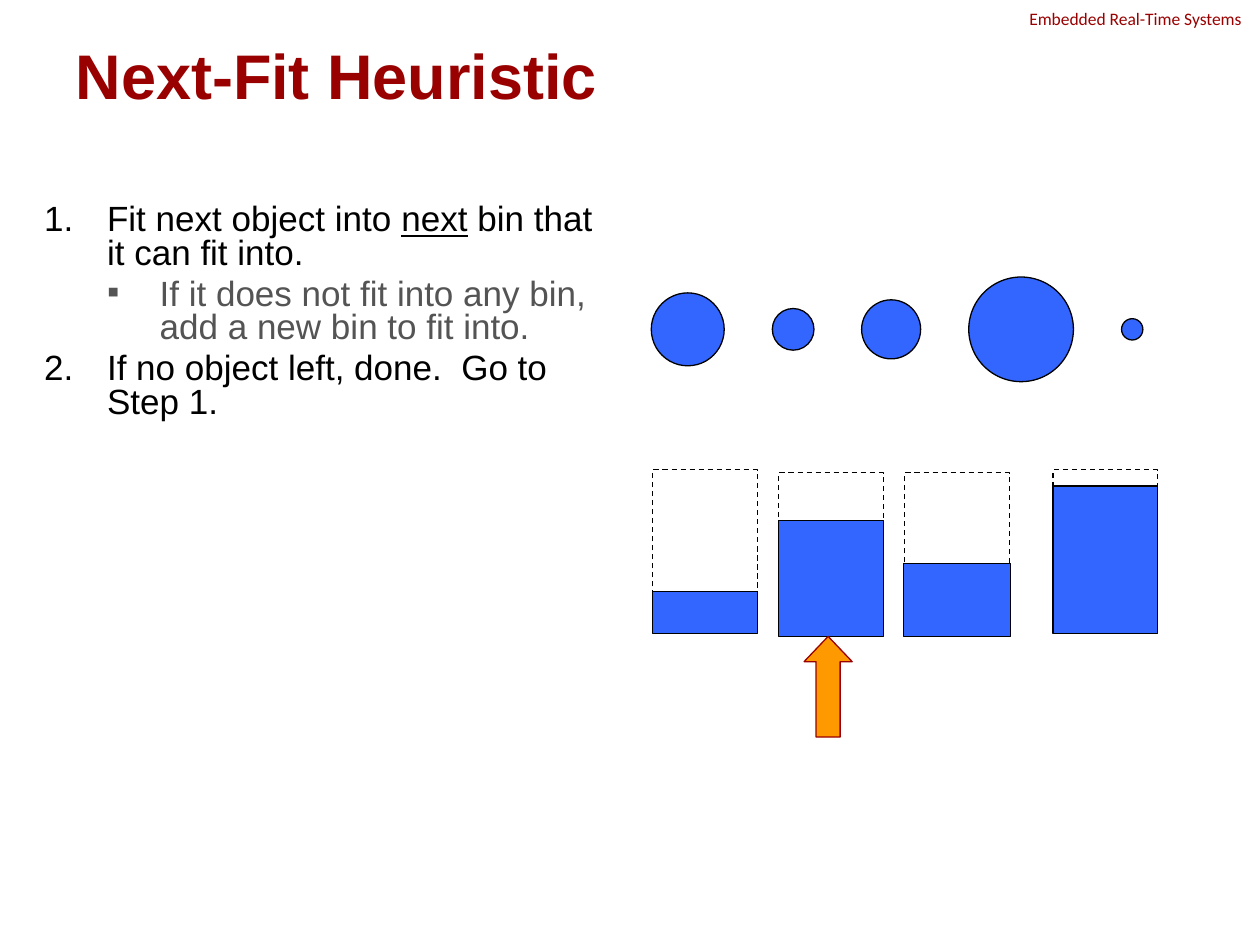
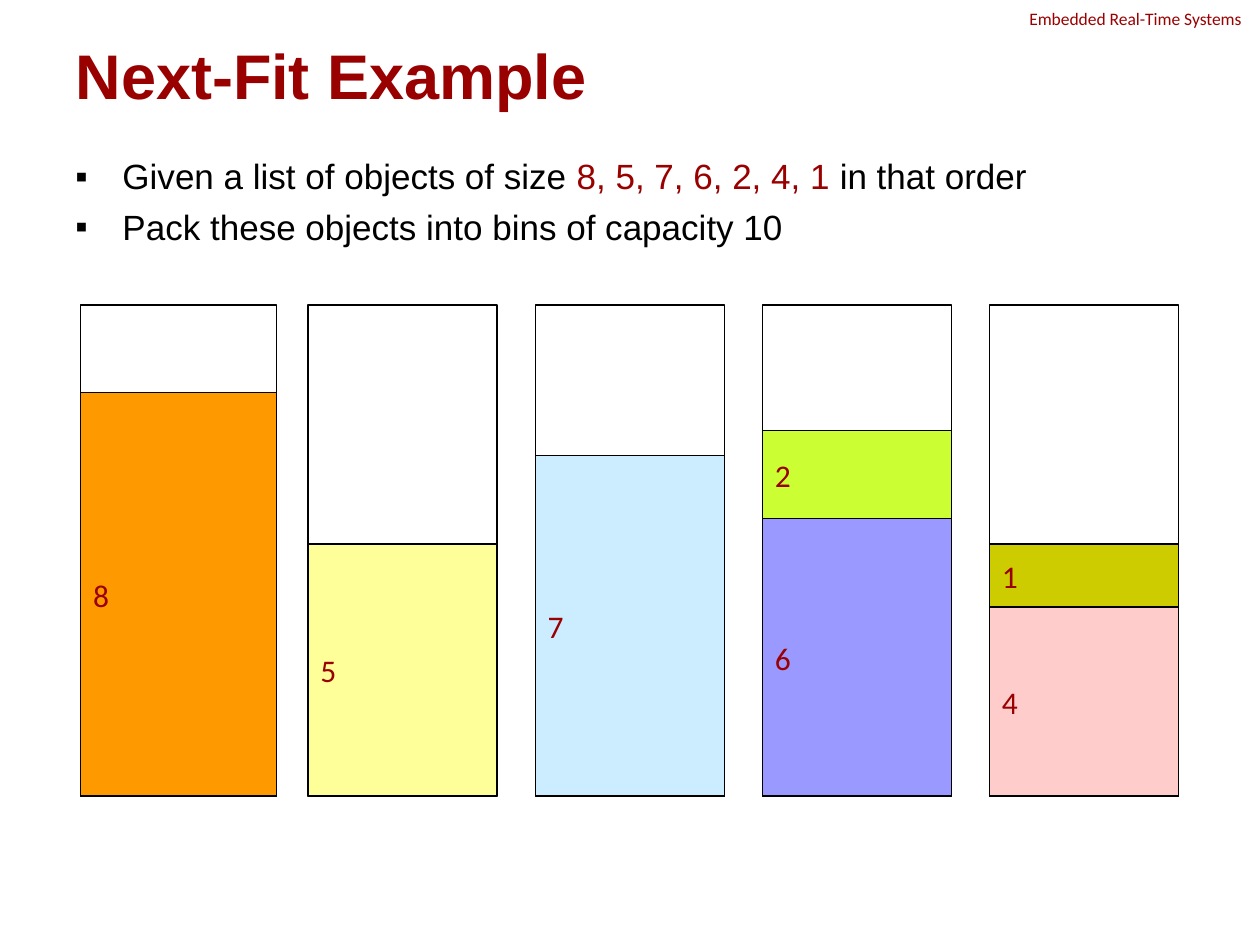
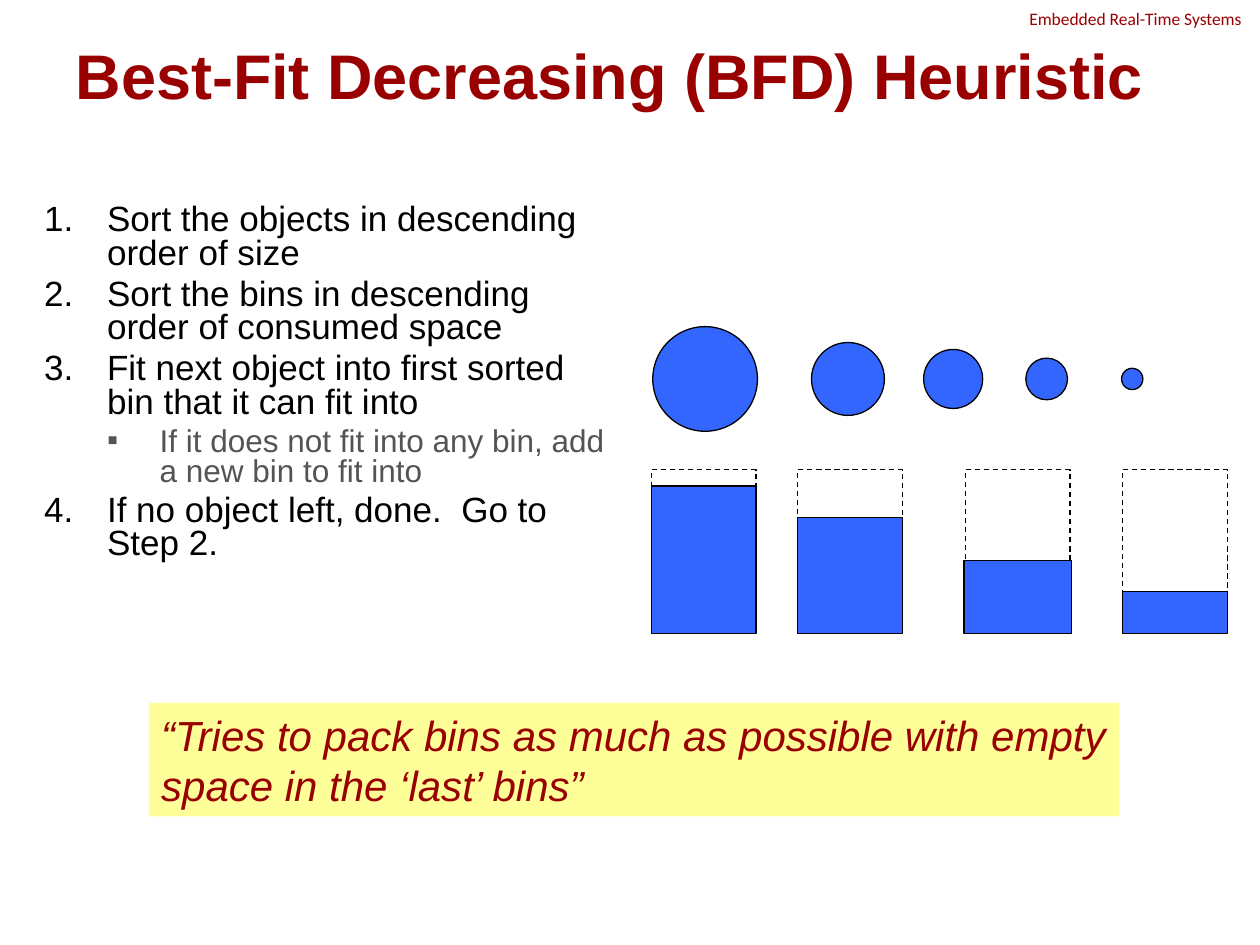
"""Build three slides on bin-packing heuristics."""
import pptx
import pptx.dml.color
import pptx.enum.dml
import pptx.enum.shapes
import pptx.enum.text
import pptx.util
from lxml import etree

Cm = pptx.util.Cm
Pt = pptx.util.Pt
KIND = pptx.enum.shapes.MSO_SHAPE
ANCHOR = pptx.enum.text.MSO_ANCHOR
LEFT = pptx.enum.text.PP_ALIGN.LEFT

RED, BLACK, GREY, BLUE = "990000", "000000", "545454", "3366FF"
ORANGE, CREAM = "FF9900", "FFFF99"

HEAD = {"name": "Calibri", "size": Pt(10), "color": RED}
TITLE = {"name": "Arial", "size": Pt(36), "bold": True, "color": RED}
BODY = {"name": "Arial", "size": Pt(20), "color": BLACK}
SUB = {**BODY, "color": GREY}
SMALL = {**SUB, "size": Pt(18)}
LABEL = {"name": "Calibri", "size": Pt(18), "color": RED}
QUOTE = {"name": "Arial", "size": Pt(24), "italic": True, "color": RED}

# kind: level, left margin, hanging indent, bullet tag, bullet attributes
SQUARE = ("buChar", {"char": "▪"})
MARKS = {
    "step": (0, 1.27, 1.27, "buAutoNum", {"type": "arabicPeriod"}),
    "sub": (1, 2.33, 1.06, *SQUARE),
    "item": (0, 0.95, 0.95, *SQUARE),
}

NEXT = {
    "title": "Next-Fit Heuristic",
    "steps": [
        ("step", [("Fit next object into ", BODY), ("next", {**BODY, "underline": True}),
                  (" bin that it can fit into.", BODY)]),
        ("sub", [("If it does not fit into any bin, add a new bin to fit into.", SUB)]),
        ("step", [("If no object left, done.  Go to Step 1.", BODY)]),
    ],
    "mid": 6.64,
    "balls": [(13.13, 1.47), (15.57, 0.84), (17.37, 1.19), (19.53, 2.11), (22.61, 0.43)],
    "bins": [(13.16, 9.47, 0.84, 2.11), (15.7, 9.53, 2.34, 2.11),
             (18.24, 9.53, 1.47, 2.16), (21.23, 9.47, 2.97, 2.11)],
}
BEST = {
    "title": "Best-Fit Decreasing (BFD) Heuristic",
    "steps": [
        ("step", [("Sort the objects in descending order of size", BODY)]),
        ("step", [("Sort the bins in descending order of consumed space", BODY)]),
        ("step", [("Fit next object into first sorted bin that it can fit into", BODY)]),
        ("sub", [("If it does not fit into any bin, add a new bin to fit into", SMALL)]),
        ("step", [("If no object left, done.  Go to Step 2.", BODY)]),
    ],
    "mid": 7.64,
    "balls": [(13.16, 2.11), (16.36, 1.47), (18.62, 1.19), (20.68, 0.84), (22.61, 0.43)],
    "bins": [(13.13, 9.47, 2.97, 2.11), (16.08, 9.47, 2.34, 2.11),
             (19.46, 9.47, 1.47, 2.16), (22.63, 9.47, 0.84, 2.11)],
}
SAYING = "“Tries to pack bins as much as possible with empty space in the ‘last’ bins”"

ITEMS = [
    ("item", [("Given a list of objects of size ", BODY),
              ("8, 5, 7, 6, 2, 4, 1", {**BODY, "color": RED}), (" in that order", BODY)]),
    ("item", [("Pack these objects into bins of capacity 10", BODY)]),
]
# each bin from the bottom up: label, height, fill
PACKED = [
    [("8", 8.13, ORANGE)],
    [("5", 5.08, CREAM)],
    [("7", 6.86, "CCECFF")],
    [("6", 5.59, "9999FF"), ("2", 1.78, "CCFF33")],
    [("4", 3.81, "FFCCCC"), ("1", 1.27, "CCCC00")],
]


def rgb(code):
    return pptx.dml.color.RGBColor.from_string(code)


def write(para, text, form):
    run = para.add_run()
    run.text = text
    for key, val in form.items():
        if key == "color":
            run.font.color.rgb = rgb(val)
        else:
            setattr(run.font, key, val)


def draw(slide, kind, box, fill=None, line=BLACK, dash=False):
    shape = slide.shapes.add_shape(kind, *map(Cm, box))
    shape.shadow.inherit = False
    if fill:
        shape.fill.solid()
        shape.fill.fore_color.rgb = rgb(fill)
    else:
        shape.fill.background()
    if line:
        shape.line.color.rgb = rgb(line)
        shape.line.width = Pt(0.75)
    else:
        shape.line.fill.background()
    if dash:
        shape.line.dash_style = pptx.enum.dml.MSO_LINE.DASH
    return shape


def label(shape, text, form, anchor=ANCHOR.MIDDLE):
    frame = shape.text_frame
    frame.word_wrap = True
    frame.vertical_anchor = anchor
    para = frame.paragraphs[0]
    para.alignment = LEFT
    write(para, text, form)
    return frame


def mark(para, kind):
    level, left, hang, tag, attrs = MARKS[kind]
    para.level = level
    props = para._p.get_or_add_pPr()
    props.set("marL", str(Cm(left)))
    props.set("indent", str(-Cm(hang)))
    space = pptx.oxml.ns.qn("a:buFont")
    etree.SubElement(props, space, typeface="Arial")
    etree.SubElement(props, pptx.oxml.ns.qn("a:" + tag), attrs)


def prose(slide, box, rows, gap, pitch=None):
    frame = slide.shapes.add_textbox(*map(Cm, box)).text_frame
    frame.word_wrap = True
    for num, (kind, runs) in enumerate(rows):
        para = frame.add_paragraph() if num else frame.paragraphs[0]
        mark(para, kind)
        para.space_before = Pt(gap if num else 0)
        if pitch:
            para.line_spacing = pitch
        for text, form in runs:
            write(para, text, form)


def start(deck, text):
    slide = deck.slides.add_slide(deck.slide_layouts[5])
    title = slide.shapes.title
    for key, val in zip(("left", "top", "width", "height"), (1.27, 0.76, 22.86, 1.47)):
        setattr(title, key, Cm(val))
    frame = label(title, text, TITLE)
    frame.auto_size = pptx.enum.text.MSO_AUTO_SIZE.NONE
    head = slide.shapes.add_textbox(*map(Cm, (20.5, 0.03, 4.9, 0.69)))
    label(head, "Embedded Real-Time Systems", HEAD, ANCHOR.TOP).word_wrap = False
    return slide


def method(deck, plan):
    slide = start(deck, plan["title"])
    prose(slide, (0.64, 4.01, 11.86, 12.57), plan["steps"], 4, 0.8)
    for left, size in plan["balls"]:
        draw(slide, KIND.OVAL, (left, plan["mid"] - size / 2, size, size), BLUE)
    wide, tall = 2.11, 3.3
    for left, top, level, span in plan["bins"]:
        draw(slide, KIND.RECTANGLE, (left, top, wide, tall), dash=True)
        side = left - (span - wide) / 2
        draw(slide, KIND.RECTANGLE, (side, top + tall - level, span, level), BLUE)
    return slide


def example(deck):
    slide = start(deck, "Next-Fit Example")
    prose(slide, (1.27, 3.0, 22.86, 14.02), ITEMS, 5)
    left, step, base, tall = 1.63, 4.58, 16.05, 9.9
    for num, stack in enumerate(PACKED):
        side = left + num * step
        wide = 3.81 if num else 3.94
        draw(slide, KIND.RECTANGLE, (side, base - tall, wide, tall))
        top = base
        for text, size, fill in stack:
            top -= size
            part = draw(slide, KIND.RECTANGLE, (side, top, wide, size), fill)
            label(part, text, LABEL)


def main():
    deck = pptx.Presentation()
    deck.slide_width, deck.slide_height = Cm(25.4), Cm(19.05)
    slide = method(deck, NEXT)
    arrow = draw(slide, KIND.UP_ARROW, (16.21, 12.83, 0.97, 2.03), ORANGE, RED)
    arrow.adjustments[0], arrow.adjustments[1] = 0.5, 0.525
    example(deck)
    slide = method(deck, BEST)
    note = draw(slide, KIND.RECTANGLE, (3, 14.17, 19.56, 2.29), CREAM, None)
    label(note, SAYING, QUOTE, ANCHOR.TOP).margin_right = 0
    deck.save("out.pptx")


if __name__ == "__main__":
    main()
